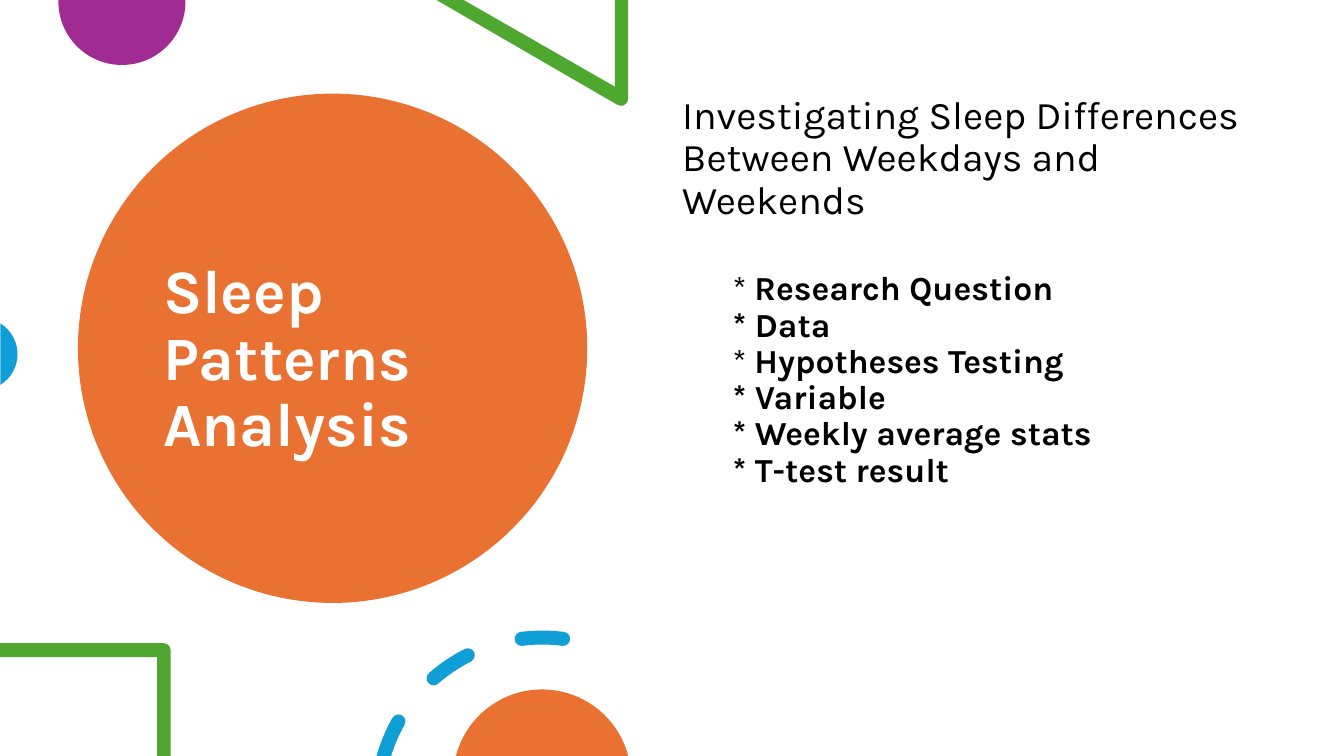
import math

from lxml import etree
from pptx import Presentation
from pptx.dml.color import RGBColor
from pptx.enum import shapes, text
from pptx.oxml import ns
from pptx.util import Pt

COLORS = {"orange": "E97132", "purple": "A02B93", "green": "4EA72E",
          "blue": "0F9ED5", "white": "FFFFFF", "black": "000000"}
FONT = "Karla"

deck = Presentation()
deck.slide_width, deck.slide_height = Pt(960), Pt(540)
page = deck.slides.add_slide(deck.slide_layouts[6])


def arc(x, y, radius, start, end):
    """Start point, then Bezier triples; degrees run clockwise from the right."""
    turns = [a for a in range(-90, 541, 90) if min(start, end) < a < max(start, end)]
    stops = [start, *sorted(turns, reverse=start > end), end]
    pieces = [[(x + radius * math.cos(math.radians(start)),
                y + radius * math.sin(math.radians(start)))]]
    for a, b in zip(map(math.radians, stops), map(math.radians, stops[1:])):
        pull = 4 / 3 * math.tan((b - a) / 4)
        pieces.append([
            (x + radius * (math.cos(a) - pull * math.sin(a)),
             y + radius * (math.sin(a) + pull * math.cos(a))),
            (x + radius * (math.cos(b) + pull * math.sin(b)),
             y + radius * (math.sin(b) - pull * math.cos(b))),
            (x + radius * math.cos(b), y + radius * math.sin(b))])
    return pieces


def add_outline(contours, color):
    """Filled freeform; a piece of one point is a line, of three a curve."""
    builder = None
    for contour in contours:
        first, *rest = [(x * 100, y * 100) for piece in contour for x, y in piece]
        if builder is None:
            builder = page.shapes.build_freeform(*first, scale=Pt(1) / 100)
        else:
            builder.move_to(*first)
        builder.add_line_segments(rest, close=True)
    shape = builder.convert_to_shape()
    lines = iter(list(shape._element.iter(ns.qn("a:lnTo"))))
    for piece in [piece for contour in contours for piece in contour[1:]]:
        steps = [next(lines) for _ in piece]
        if len(steps) == 3:
            curve = etree.Element(ns.qn("a:cubicBezTo"))
            steps[0].addprevious(curve)
            for step in steps:
                curve.append(step[0])
                step.getparent().remove(step)
    shape.shadow.inherit = False
    shape.fill.solid()
    shape.fill.fore_color.rgb = RGBColor.from_string(COLORS[color])
    shape.line.fill.background()


# Large title circle
circle = page.shapes.add_shape(shapes.MSO_SHAPE.OVAL, Pt(55.7), Pt(66.9), Pt(363.8), Pt(363.8))
circle.shadow.inherit = False
circle.fill.solid()
circle.fill.fore_color.rgb = RGBColor.from_string(COLORS["orange"])
circle.line.fill.background()

# Shapes cut off by the page edges
add_outline([[[(132.5, 0)], [(41.7, 0)], *arc(87.1, 1, 45.4, 180, 0)]], "purple")
add_outline([[[(448.6, 0)], [(439.2, 0)], [(439.2, 61.9)], [(331.2, 0)], [(311.8, 0)],
              *arc(443.6, 70.6, 5, 120, 0)]], "green")
add_outline([arc(-13.3, 253, 25.8, -58.4, 58.4)], "blue")
add_outline([[[(0, 459.4)], [(0, 469.4)], [(112.3, 469.4)], [(112.3, 540)], [(121.9, 540)],
              *arc(116.9, 464.4, 5, 0, -90)]], "green")

# Dashed ring with round ends, its first dash cut by the bottom edge
ring_x, ring_y, ring_radius, half = 387.4, 573.5, 118.1, 5
dashes = []
for start, inner_start, end in [(195.8, 197.2, 209.5), (228.9, 228.9, 243.2),
                                (262.8, 262.8, 277.2)]:
    tail, head = [arc(ring_x, ring_y, ring_radius, angle, angle)[0][0] for angle in (start, end)]
    dash = arc(ring_x, ring_y, ring_radius + half, start, end)
    dash += arc(*head, half, end, end + 180)[1:]
    dash += arc(ring_x, ring_y, ring_radius - half, end, inner_start)[1:]
    if start == inner_start:
        dash += arc(*tail, half, start - 180, start)[1:]
    dashes.append(dash)
add_outline(dashes, "blue")

# Small circle inside the ring
add_outline([arc(387.2, 556.1, 63.6, 194.7, 345.3)], "orange")

# Text: size, colour, space before, indent, runs of (wording, bold)
title = [(44, "white", 0, 0, [("Sleep Patterns Analysis", True)])]
body = [
    (28, "black", 10, 0,
     [("Investigating Sleep Differences Between Weekdays and Weekends", False)]),
    (24, "black", 35, 36,
     [("* ", False), ("Research Question\n* Data\n", True), ("* ", False),
      ("Hypotheses Testing\n* Variable\n* Weekly average stats\n* T-test result", True)])]

for left, top, width, height, anchor, paras in [
        (109.4, 97.2, 254.9, 320.4, text.MSO_ANCHOR.MIDDLE, title),
        (480.2, 64.8, 414, 385.2, text.MSO_ANCHOR.TOP, body)]:
    box = page.shapes.add_textbox(Pt(left), Pt(top), Pt(width), Pt(height))
    frame = box.text_frame
    frame.word_wrap = True
    frame.vertical_anchor = anchor
    for i, (size, color, before, indent, spans) in enumerate(paras):
        para = frame.add_paragraph() if i else frame.paragraphs[0]
        para.line_spacing = 0.9
        para.space_before = Pt(before)
        if indent:
            para.level = 1
            para._p.get_or_add_pPr().set("marL", str(Pt(indent)))
        for wording, bold in spans:
            for row, line in enumerate(wording.split("\n")):
                if row:
                    para.add_line_break()
                if line:
                    span = para.add_run()
                    span.text = line
                    span.font.name = FONT
                    span.font.size = Pt(size)
                    span.font.bold = bold
                    span.font.color.rgb = RGBColor.from_string(COLORS[color])

deck.save("out.pptx")
